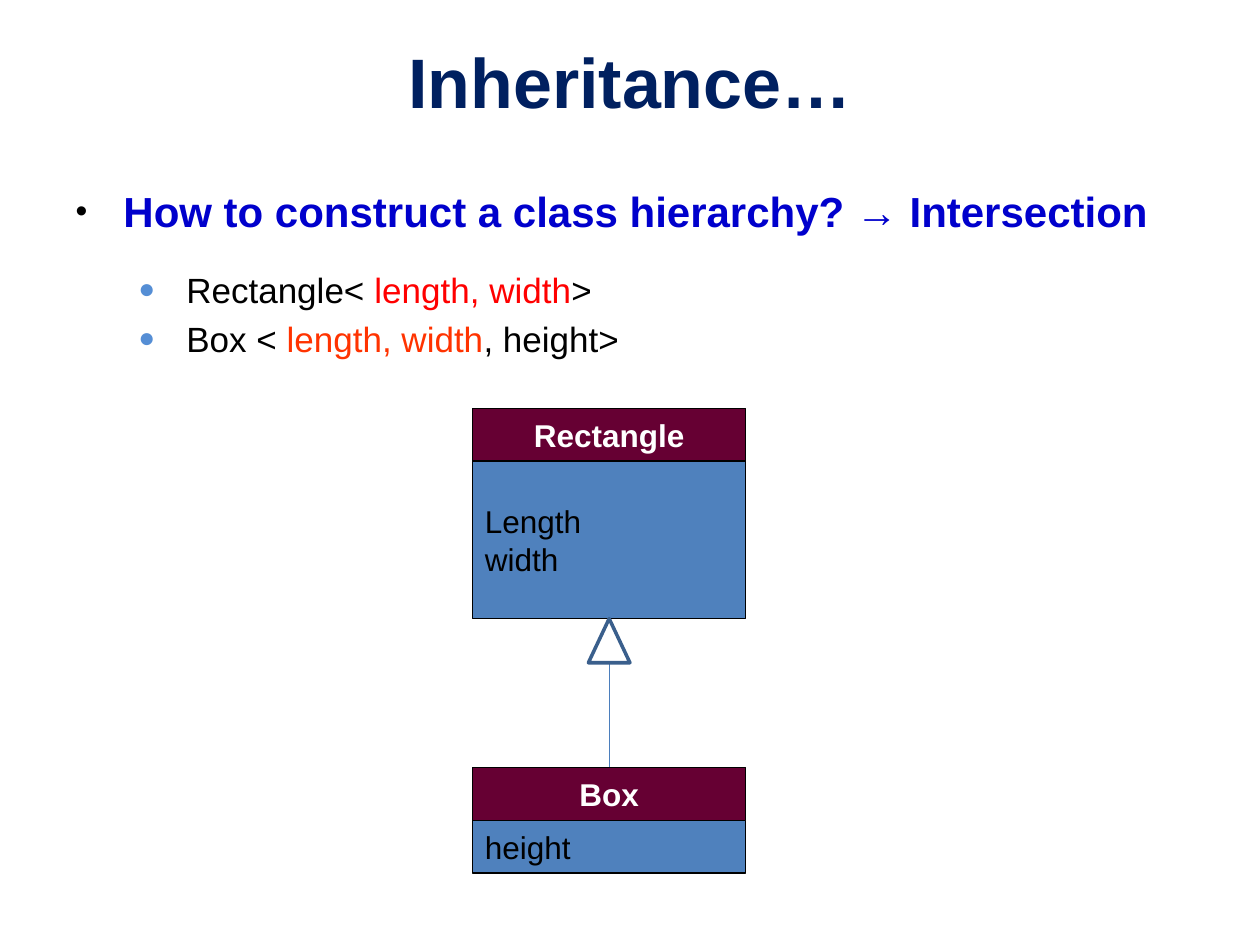
from lxml import etree
from pptx import Presentation
from pptx.dml.color import RGBColor
from pptx.enum.shapes import MSO_CONNECTOR, MSO_SHAPE
from pptx.enum.text import MSO_ANCHOR, MSO_AUTO_SIZE, PP_ALIGN
from pptx.oxml.ns import qn
from pptx.util import Inches, Pt

COLORS = {
    "title": "002060", "heading": "0000CC", "black": "000000", "white": "FFFFFF",
    "red": "FF0000", "orange": "FF3300", "bullet": "558ED5",
    "header": "660033", "body": "4F81BD", "link": "4B7EBC", "arrow": "3A5F8C",
}
FONT = "Arial"
CLASS_LEFT, CLASS_WIDTH, ROW_HEIGHT = 3.75, 2.17, 0.42


def rgb(name):
    """Return the named colour."""
    return RGBColor.from_string(COLORS[name])


def place(shape, left, top, width, height):
    """Move and size a shape, in inches."""
    shape.left, shape.top = Inches(left), Inches(top)
    shape.width, shape.height = Inches(width), Inches(height)


def add_run(paragraph, text, size, color, bold=False):
    """Append a formatted run; a vertical tab becomes a line break."""
    start = len(paragraph.runs)
    for index, line in enumerate(text.split("\v")):
        if index:
            paragraph.add_line_break()
        paragraph.add_run().text = line
    for run in paragraph.runs[start:]:
        run.font.name, run.font.size, run.font.bold = FONT, Pt(size), bold
        run.font.color.rgb = rgb(color)


def set_bullet(paragraph, char, color):
    """Give a paragraph a hanging bullet and proportional space before."""
    props = paragraph._p.get_or_add_pPr()
    props.set("marL", str(Inches(0.38)))
    props.set("indent", str(-Inches(0.38)))
    before = etree.SubElement(props, qn("a:spcBef"))
    etree.SubElement(before, qn("a:spcPct"), val="20000")
    bullet_color = etree.SubElement(props, qn("a:buClr"))
    etree.SubElement(bullet_color, qn("a:srgbClr"), val=COLORS[color])
    etree.SubElement(props, qn("a:buSzPct"), val="80000")
    etree.SubElement(props, qn("a:buFont"), typeface=FONT)
    etree.SubElement(props, qn("a:buChar"), char=char)


def add_title(slide, text):
    """Fill the title placeholder."""
    title = slide.shapes.title
    place(title, 0.5, 0.25, 9, 0.78)
    frame = title.text_frame
    frame.auto_size = MSO_AUTO_SIZE.NONE
    frame.vertical_anchor = MSO_ANCHOR.MIDDLE
    frame.paragraphs[0].alignment = PP_ALIGN.CENTER
    add_run(frame.paragraphs[0], text, 40, "title", bold=True)


def add_heading(slide, text):
    """Fill the body placeholder with the main bullet."""
    body = slide.placeholders[1]
    place(body, 0.5, 1.42, 9, 0.58)
    body.text_frame.auto_size = MSO_AUTO_SIZE.NONE
    paragraph = body.text_frame.paragraphs[0]
    paragraph.alignment = PP_ALIGN.JUSTIFY
    set_bullet(paragraph, "•", "black")
    add_run(paragraph, text, 24, "heading", bold=True)


def add_class_list(slide, items):
    """Add the bulleted list; each item is a list of (text, colour) runs."""
    box = slide.shapes.add_textbox(Inches(1), Inches(2.08), Inches(4.29), Inches(1.33))
    frame = box.text_frame
    frame.word_wrap = True
    for index, runs in enumerate(items):
        paragraph = frame.add_paragraph() if index else frame.paragraphs[0]
        set_bullet(paragraph, "●", "bullet")
        for text, color in runs:
            add_run(paragraph, text, 20, color)


def add_row(shapes, top, height, text, fill, color, align, bold=False):
    """Add one compartment of a class box."""
    row = shapes.add_shape(MSO_SHAPE.RECTANGLE, Inches(CLASS_LEFT), Inches(top),
                           Inches(CLASS_WIDTH), Inches(height))
    row.shadow.inherit = False
    row.fill.solid()
    row.fill.fore_color.rgb = rgb(fill)
    row.line.color.rgb = rgb("black")
    row.line.width = Pt(0.75)
    frame = row.text_frame
    frame.word_wrap = True
    frame.vertical_anchor = MSO_ANCHOR.MIDDLE
    frame.paragraphs[0].alignment = align
    add_run(frame.paragraphs[0], text, 18, color, bold)


def add_class(shapes, top, name, attributes, height):
    """Add a class box: name above, attributes below."""
    add_row(shapes, top, ROW_HEIGHT, name, "header", "white", PP_ALIGN.CENTER, bold=True)
    add_row(shapes, top + ROW_HEIGHT, height, attributes, "body", "black", PP_ALIGN.LEFT)


def add_inheritance(shapes, top, bottom):
    """Draw a line from the subclass up to a hollow triangle."""
    center, width, height = CLASS_LEFT + CLASS_WIDTH / 2, 0.33, 0.35
    line = shapes.add_connector(MSO_CONNECTOR.STRAIGHT, Inches(center), Inches(top + height),
                                Inches(center), Inches(bottom))
    line.line.color.rgb = rgb("link")
    line.line.width = Pt(0.75)
    etree.SubElement(line._element.spPr, qn("a:effectLst"))
    head = shapes.add_shape(MSO_SHAPE.ISOSCELES_TRIANGLE, Inches(center - width / 2),
                            Inches(top), Inches(width), Inches(height))
    head.shadow.inherit = False
    head.fill.background()
    head.line.color.rgb = rgb("arrow")
    head.line.width = Pt(2)


def main():
    """Build and save the slide."""
    prs = Presentation()
    prs.slide_width, prs.slide_height = Inches(10), Inches(7.5)
    slide = prs.slides.add_slide(prs.slide_layouts[1])
    add_title(slide, "Inheritance…")
    add_heading(slide, "How to construct a class hierarchy? → Intersection")
    add_class_list(slide, [
        [("Rectangle< ", "black"), ("length, width", "red"), (">", "black")],
        [("Box <", "black"), (" length, width", "orange"), (", height>", "black")],
    ])
    diagram = slide.shapes.add_group_shape().shapes
    add_class(diagram, 3.24, "Rectangle", "Length\vwidth", 1.25)
    add_class(diagram, 6.09, "Box", "height", ROW_HEIGHT)
    add_inheritance(diagram, 4.91, 6.09)
    prs.save("out.pptx")


main()
